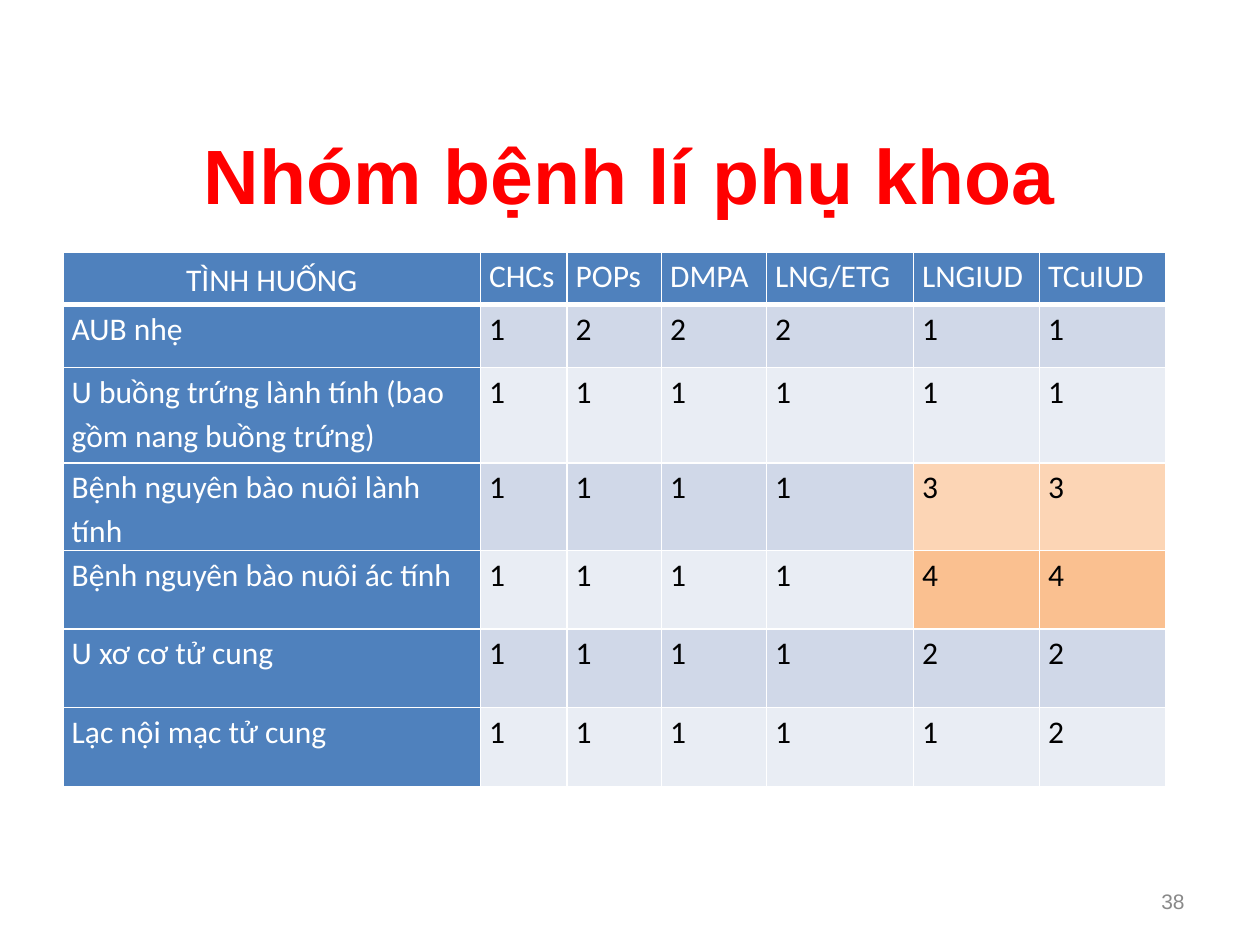
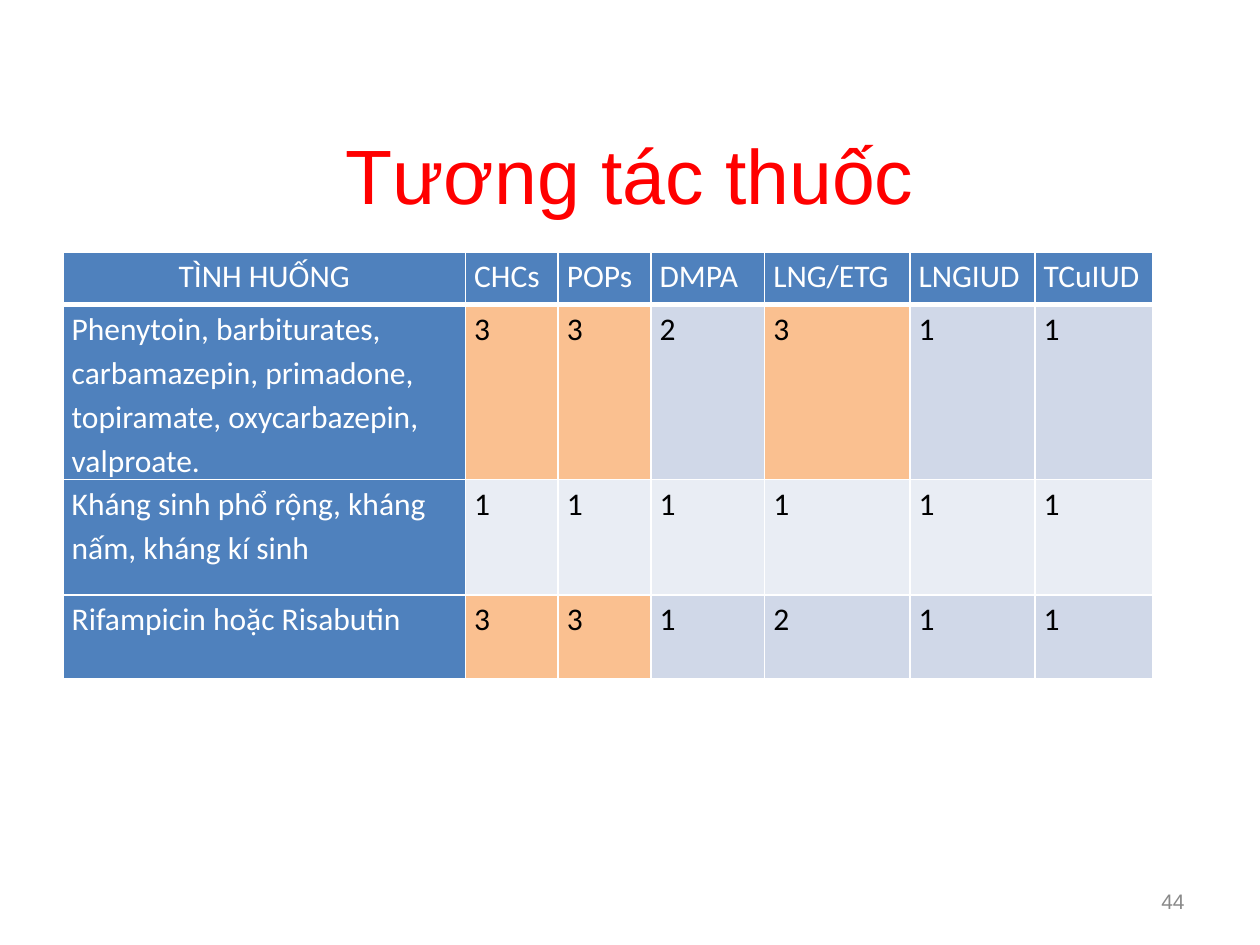
from pptx import Presentation
from pptx.util import Pt
from pptx.dml.color import RGBColor as Rgb
from pptx.enum.text import PP_ALIGN as Align, MSO_ANCHOR as Anchor
from pptx.oxml import parse_xml
from pptx.oxml.ns import nsdecls

COLORS = {
    "title": "FF0000",
    "number": "898989",
    "head": "4F81BD",
    "white": "FFFFFF",
    "black": "000000",
    "odd": "D0D8E8",
    "even": "E9EDF4",
    "light": "FCD5B5",
    "strong": "FAC090",
}
HEADS = ["TÌNH HUỐNG", "CHCs", "POPs", "DMPA", "LNG/ETG", "LNGIUD", "TCuIUD"]


def write(frame, text, size=18, font="Calibri", color="black", bold=False,
          align=Align.LEFT, space=None):
    para = frame.paragraphs[0]
    para.alignment = align
    if space:
        para.line_spacing = space
    run = para.add_run()
    run.text = text
    run.font.size = Pt(size)
    run.font.name = font
    run.font.bold = bold
    run.font.color.rgb = Rgb.from_string(COLORS[color])


class Deck:
    def __init__(self):
        self.show = Presentation()
        self.show.slide_width, self.show.slide_height = Pt(720), Pt(540)
        self.slide = None

    def page(self, title, number, bold=False):
        self.slide = self.show.slides.add_slide(self.show.slide_layouts[6])
        self.label(title, 36, 72, 648, 54, size=44, color="title",
                   bold=bold, align=Align.CENTER)
        self.label(str(number), 516, 500.5, 168, 28.75, size=12,
                   color="number", align=Align.RIGHT)

    def label(self, text, left, top, width, height, **style):
        box = self.slide.shapes.add_textbox(Pt(left), Pt(top), Pt(width), Pt(height))
        frame = box.text_frame
        frame.word_wrap = True
        frame.vertical_anchor = Anchor.MIDDLE
        write(frame, text, font="Arial", **style)

    def border(self, cell, base):
        props = cell._tc.get_or_add_tcPr()
        sides = {"lnL": 1, "lnR": 1, "lnT": 1, "lnB": base}
        for spot, (side, width) in enumerate(sides.items()):
            props.insert(spot, parse_xml(
                f'<a:{side} {nsdecls("a")} w="{Pt(width)}"><a:solidFill>'
                f'<a:srgbClr val="{COLORS["white"]}"/></a:solidFill></a:{side}>'))

    def cell(self, cell, text, fill, base=1, **style):
        cell.margin_left = cell.margin_right = Pt(5)
        cell.margin_top = cell.margin_bottom = 0
        cell.fill.solid()
        cell.fill.fore_color.rgb = Rgb.from_string(COLORS[fill])
        self.border(cell, base)
        write(cell.text_frame, text, space=1.15, **style)

    def table(self, rows, widths, heights, marks):
        grid = self.slide.shapes.add_table(
            len(heights), len(widths), Pt(36), Pt(144),
            Pt(sum(widths)), Pt(sum(heights))).table
        for col, width in zip(grid.columns, widths):
            col.width = Pt(width)
        for row, height in zip(grid.rows, heights):
            row.height = Pt(height)
        for c, text in enumerate(HEADS):
            self.cell(grid.cell(0, c), text, "head", base=3, color="white",
                      align=Align.LEFT if c else Align.CENTER)
        for r, (name, grades) in enumerate(rows, 1):
            self.cell(grid.cell(r, 0), name, "head", color="white")
            band = "odd" if r % 2 else "even"
            for c, grade in enumerate(grades, 1):
                self.cell(grid.cell(r, c), grade, marks.get(grade, band))
        return grid


def main():
    deck = Deck()

    deck.page("Nhóm bệnh lí phụ khoa", 38, bold=True)
    grid = deck.table(
        [("AUB nhẹ", "122211"),
         ("U buồng trứng lành tính (bao gồm nang buồng trứng)", "111111"),
         ("Bệnh nguyên bào nuôi lành tính", "111133"),
         ("Bệnh nguyên bào nuôi ác tính", "111144"),
         ("U xơ cơ tử cung", "111122"),
         ("Lạc nội mạc tử cung", "111112")],
        [238.5, 49.5, 54, 60, 84, 72, 72],
        [30, 36, 54.5, 50, 45, 45, 45],
        {"3": "light", "4": "strong"})
    grid.cell(0, 0).vertical_anchor = Anchor.MIDDLE

    deck.page("Tương tác thuốc", 44)
    deck.table(
        [("Phenytoin, barbiturates, carbamazepin, primadone, topiramate, "
          "oxycarbazepin, valproate.", "332311"),
         ("Kháng sinh phổ rộng, kháng nấm, kháng kí sinh", "111111"),
         ("Rifampicin hoặc Risabutin", "331211")],
        [230, 53, 53, 65, 83, 71.5, 67.5],
        [30, 100, 66, 48],
        {"3": "strong"})

    deck.show.save("out.pptx")


if __name__ == "__main__":
    main()
